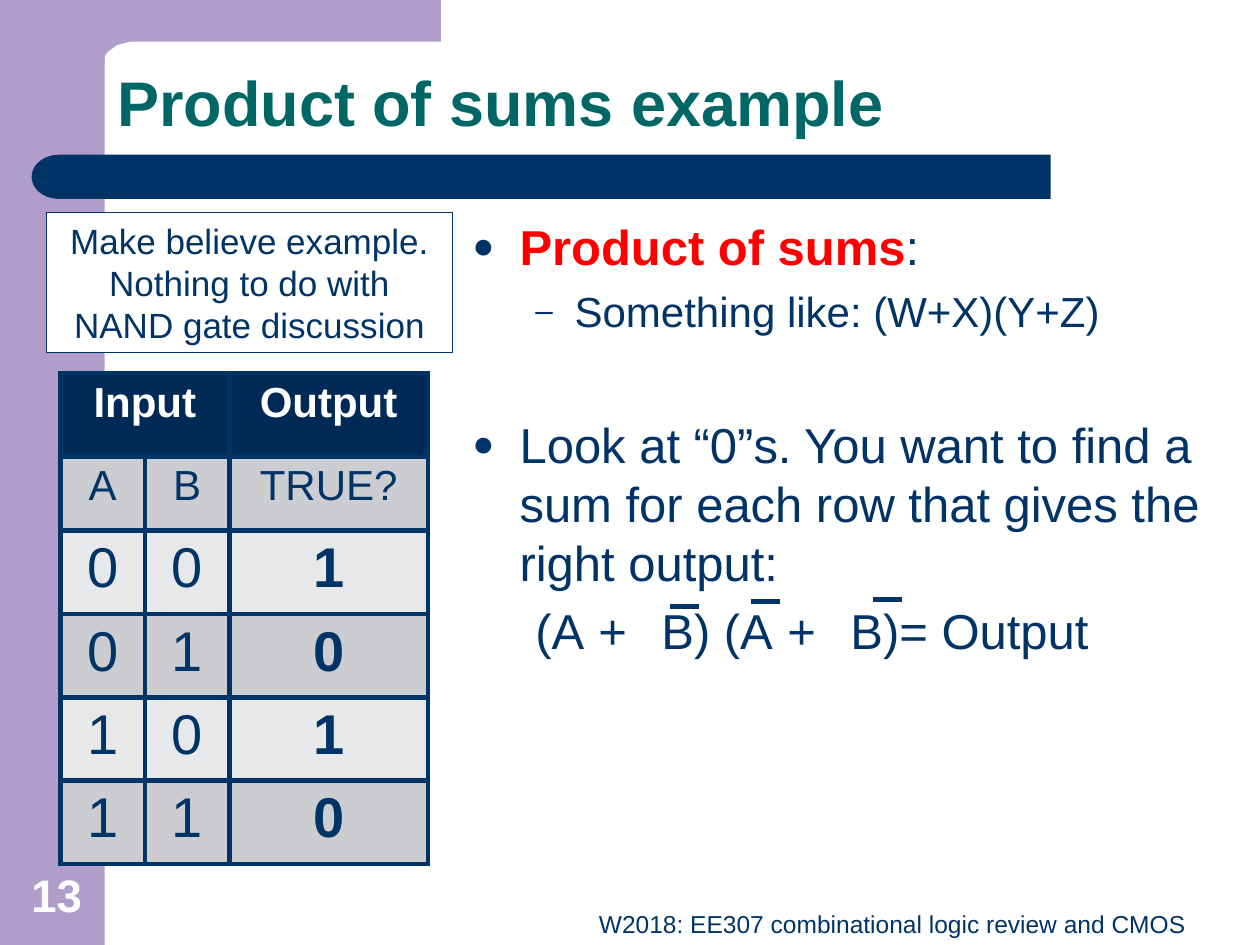
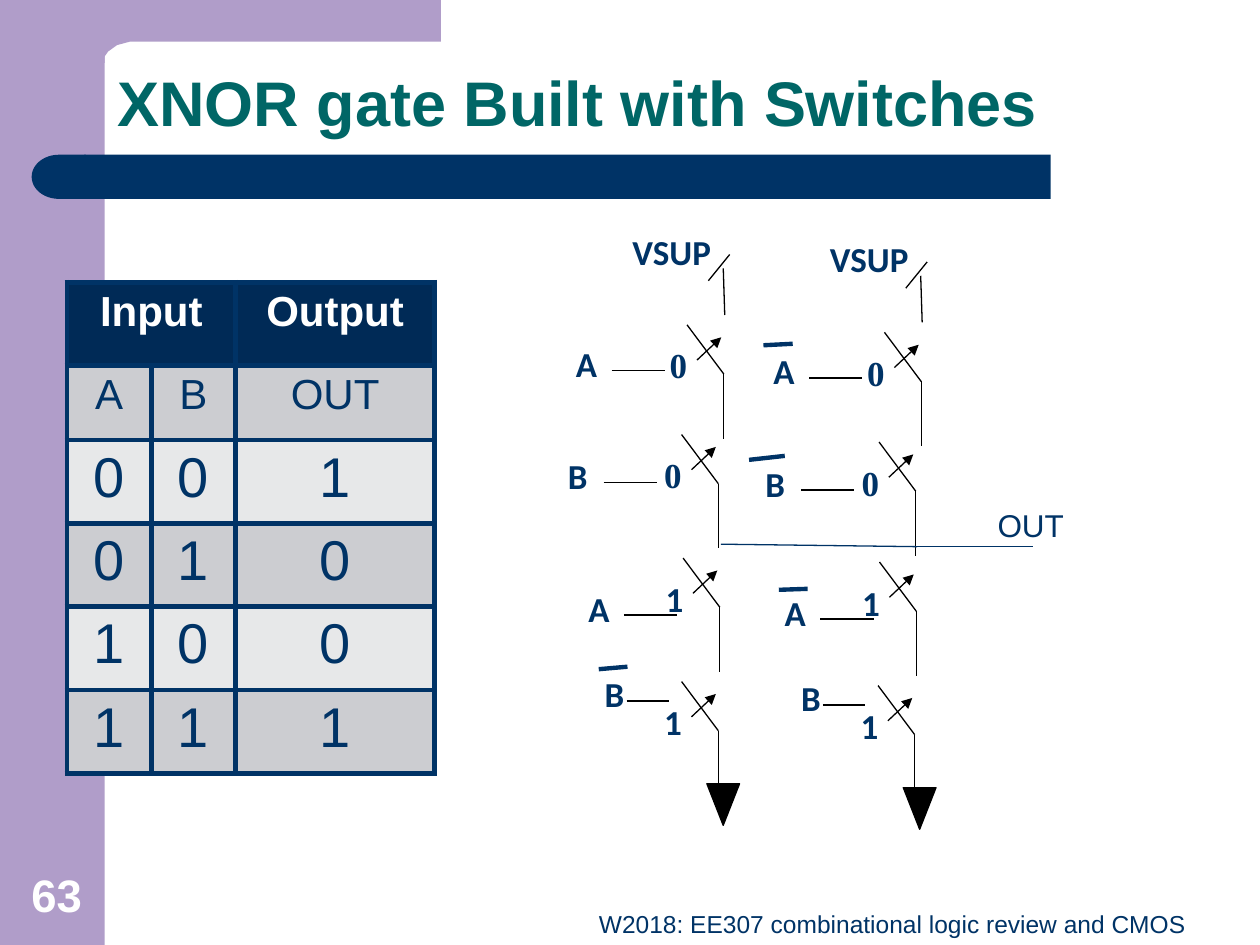
import dataclasses

import lxml.etree
import pptx
import pptx.dml.color
import pptx.enum.shapes
import pptx.enum.text
import pptx.oxml.ns
import pptx.util

Cm = pptx.util.Cm
Pt = pptx.util.Pt
SHAPE = pptx.enum.shapes.MSO_SHAPE
ALIGN = pptx.enum.text.PP_ALIGN
ANCHOR = pptx.enum.text.MSO_ANCHOR
qn = pptx.oxml.ns.qn


@dataclasses.dataclass(frozen=True)
class Theme:
    navy: str = "003366"
    header: str = "002A56"
    lilac: str = "B09DC9"
    teal: str = "006666"
    red: str = "FF0000"
    black: str = "000000"
    white: str = "FFFFFF"
    row_dark: str = "CCCDD1"
    row_light: str = "E7E8E9"
    font: str = "Arial"
    label_font: str = "Calibri"
    digit_font: str = "Times New Roman"
    title: int = 36
    value: int = 32
    body: int = 28
    number: int = 26
    sub: int = 24
    note: int = 20
    out: int = 18
    footer: int = 14


THEME = Theme()
FOOTER = "W2018: EE307 combinational logic review and CMOS"


def rgb(color):
    return pptx.dml.color.RGBColor.from_string(color)


def style(paragraph, size, color=THEME.navy, bold=False, font=THEME.font):
    for run in paragraph.runs:
        run.font.name = font
        run.font.size = Pt(size)
        run.font.bold = bold
        run.font.color.rgb = rgb(color)


def paint(shape, fill, line=None):
    shape.shadow.inherit = False
    shape.fill.solid()
    shape.fill.fore_color.rgb = rgb(fill)
    if line:
        shape.line.color.rgb = rgb(line)
        shape.line.width = Pt(0.75)
    else:
        shape.line.fill.background()
    return shape


def add_block(slide, kind, left, top, width, height, fill, line=None):
    block = slide.shapes.add_shape(kind, Cm(left), Cm(top), Cm(width), Cm(height))
    return paint(block, fill, line)


def add_label(slide, text, left, top, width, height, size, color=THEME.navy,
              bold=False, font=THEME.font, align=ALIGN.LEFT, anchor=ANCHOR.TOP):
    label = slide.shapes.add_textbox(Cm(left), Cm(top), Cm(width), Cm(height))
    frame = label.text_frame
    frame.word_wrap = True
    frame.vertical_anchor = anchor
    frame.text = text
    frame.paragraphs[0].alignment = align
    style(frame.paragraphs[0], size, color, bold, font)


def add_wire(slide, x1, y1, x2, y2, color=THEME.black, width=0.75, arrow=False):
    wire = slide.shapes.add_connector(
        pptx.enum.shapes.MSO_CONNECTOR.STRAIGHT, Cm(x1), Cm(y1), Cm(x2), Cm(y2))
    wire.line.color.rgb = rgb(color)
    wire.line.width = Pt(width)
    if arrow:
        lxml.etree.SubElement(wire.line._get_or_add_ln(), qn("a:tailEnd"), type="triangle")
    lxml.etree.SubElement(wire._element.spPr, qn("a:effectLst"))


def add_frame(slide, title, number):
    add_block(slide, SHAPE.RECTANGLE, 0, 0, 2.11, 19.05, THEME.lilac)
    corner = [(8.89, 0.84), (2.62, 0.84), (2.36, 0.91), (2.18, 1.04), (2.11, 1.14),
              (2.11, 1.27), (1.27, 1.27), (1.27, 0)]
    outline = slide.shapes.build_freeform(Cm(8.89), 0)
    outline.add_line_segments([(Cm(x), Cm(y)) for x, y in corner], close=True)
    paint(outline.convert_to_shape(), THEME.lilac)
    add_block(slide, SHAPE.RECTANGLE, 1.7, 3.12, 19.48, 0.89, THEME.navy)
    cap = add_block(slide, SHAPE.FLOWCHART_DELAY, 0.64, 3.12, 1.09, 0.89, THEME.navy)
    cap._element.spPr.find(qn("a:xfrm")).set("flipH", "1")

    heading = slide.shapes.title
    heading.left, heading.top, heading.width, heading.height = Cm(2.11), Cm(0.84), Cm(22.02), Cm(2.11)
    heading.text_frame.text = title
    heading.text_frame.auto_size = pptx.enum.text.MSO_AUTO_SIZE.NONE
    heading.text_frame.vertical_anchor = ANCHOR.BOTTOM
    line = heading.text_frame.paragraphs[0]
    line.alignment = ALIGN.LEFT
    line.line_spacing = 0.9
    style(line, THEME.title, THEME.teal, True)

    add_label(slide, FOOTER, 8.69, 18.21, 15.47, 1.32, THEME.footer, align=ALIGN.RIGHT)
    add_label(slide, number, 0, 17.35, 2.29, 1.35, THEME.number, THEME.white, True,
              align=ALIGN.CENTER, anchor=ANCHOR.BOTTOM)


def format_cell(cell, fill, size, color, bold):
    cell.fill.solid()
    cell.fill.fore_color.rgb = rgb(fill)
    paragraph = cell.text_frame.paragraphs[0]
    paragraph.alignment = ALIGN.CENTER
    style(paragraph, size, color, bold)
    properties = cell._tc.get_or_add_tcPr()
    for position, side in enumerate(("a:lnL", "a:lnR", "a:lnT", "a:lnB")):
        border = lxml.etree.Element(qn(side), w=str(Pt(3)))
        solid = lxml.etree.SubElement(border, qn("a:solidFill"))
        lxml.etree.SubElement(solid, qn("a:srgbClr"), val=THEME.navy)
        properties.insert(position, border)


def add_truth_table(slide, left, top, output_name, outputs, bold_outputs):
    inputs = [("0", "0"), ("0", "1"), ("1", "0"), ("1", "1")]
    rows = [("Input", "", "Output"), ("A", "B", output_name)]
    rows += [(a, b, output) for (a, b), output in zip(inputs, outputs)]
    widths = [1.7, 1.7, 4.01]
    heights = [1.68, 1.5] + [1.68] * 4
    table = slide.shapes.add_table(len(rows), 3, Cm(left), Cm(top),
                                   Cm(sum(widths)), Cm(sum(heights))).table
    table.first_row = table.horz_banding = False
    for column, width in zip(table.columns, widths):
        column.width = Cm(width)
    for r, (values, height) in enumerate(zip(rows, heights)):
        table.rows[r].height = Cm(height)
        for c, value in enumerate(values):
            cell = table.cell(r, c)
            cell.text = value
            if r == 0:
                format_cell(cell, THEME.header, THEME.sub, THEME.white, True)
            else:
                format_cell(cell, THEME.row_dark if r % 2 else THEME.row_light,
                            THEME.sub if r == 1 else THEME.value, THEME.navy,
                            bold_outputs and c == 2 and r > 1)
    table.cell(0, 0).merge(table.cell(0, 1))


def set_indent(paragraph, margin, hanging, bullet=None, tabs=()):
    properties = paragraph._p.get_or_add_pPr()
    properties.set("marL", str(Cm(margin)))
    properties.set("indent", str(-Cm(hanging)))
    if bullet:
        color = lxml.etree.SubElement(properties, qn("a:buClr"))
        lxml.etree.SubElement(color, qn("a:srgbClr"), val=THEME.navy)
        lxml.etree.SubElement(properties, qn("a:buSzPct"), val="75000")
        lxml.etree.SubElement(properties, qn("a:buFont"), typeface=THEME.font)
        lxml.etree.SubElement(properties, qn("a:buChar"), char=bullet)
    else:
        lxml.etree.SubElement(properties, qn("a:buNone"))
    if tabs:
        stops = lxml.etree.SubElement(properties, qn("a:tabLst"))
        for stop in tabs:
            lxml.etree.SubElement(stops, qn("a:tab"), pos=str(Cm(stop)), algn="l")


def add_explanation(slide, left, top, width, height):
    body = slide.placeholders[1]
    body.left, body.top, body.width, body.height = Cm(left), Cm(top), Cm(width), Cm(height)
    frame = body.text_frame
    frame.auto_size = pptx.enum.text.MSO_AUTO_SIZE.NONE
    frame.text = "\n".join([
        "Product of sums",
        "Something like: (W+X)(Y+Z)",
        "Look at “0”s. You want to find a sum for each row that gives the right output:",
        "\t(A\t+\tB) (A\t+\tB)= Output"])
    term, form, advice, formula = frame.paragraphs
    term.add_run().text = ":"
    form.level = 1
    for paragraph, size, gap in ((term, THEME.body, 5.6), (form, THEME.sub, 5.6),
                                 (advice, THEME.body, 45), (formula, THEME.body, 5.6)):
        style(paragraph, size)
        paragraph.space_before = Pt(gap)
    term.runs[0].font.bold = True
    term.runs[0].font.color.rgb = rgb(THEME.red)
    set_indent(term, 0.95, 0.95, "●")
    set_indent(form, 2.06, 0.79, "–")
    set_indent(advice, 0.95, 0.95, "●")
    set_indent(formula, 0, 0, tabs=(0.77, 2.51, 3.89, 6.68, 7.78))


def add_note(slide, left, top, width, height):
    note = add_block(slide, SHAPE.RECTANGLE, left, top, width, height, THEME.white, THEME.navy)
    frame = note.text_frame
    frame.word_wrap = True
    frame.text = "Make believe example. Nothing to do with NAND gate discussion"
    frame.paragraphs[0].alignment = ALIGN.CENTER
    style(frame.paragraphs[0], THEME.note)


def add_switch(slide, left, top, name, state, name_at, name_width=1.27, lead=1.07, bar=None):
    add_wire(slide, left, top, left + 0.74, top + 0.99)
    add_wire(slide, left + 0.74, top + 0.99, left + 0.74, top + 2.29)
    add_wire(slide, left + 0.2, top + 0.71, left + 0.69, top + 0.25, arrow=True)
    add_label(slide, state, left - 0.6, top + 0.26, 1.12, 1.27, THEME.note, bold=True,
              font=THEME.digit_font if state == "0" else THEME.label_font)
    x, y = left + name_at[0], top + name_at[1]
    add_label(slide, name, x, y, name_width, 1.3, THEME.note, bold=True, font=THEME.label_font)
    lead_start = x + name_width - 0.3
    add_wire(slide, lead_start, y + 0.69, lead_start + lead, y + 0.69)
    if bar:
        x1, y1, x2, y2 = bar
        add_wire(slide, x + x1, y + y1, x + x2, y + y2, THEME.navy, 2.5)


def add_pull_up(slide, left, top, inverted):
    add_label(slide, "VSUP", left, top, 2.72, 1.52, THEME.note, bold=True, font=THEME.label_font)
    add_wire(slide, left + 2.21, top + 0.61, left + 1.78, top + 1.14)
    add_wire(slide, left + 2.08, top + 0.89, left + 2.11, top + 1.83)
    add_switch(slide, left + 1.35, top + 2.03, "A", "0", (-2.49, 0.23),
               bar=(0.05, 0.03, 0.64, 0) if inverted else None)
    add_switch(slide, left + 1.24, top + 4.24, "B", "0", (-2.54, 0.28),
               bar=(-0.08, 0.08, 0.64, 0) if inverted else None)


def add_pull_down(slide, left, top, a_inverted):
    add_switch(slide, left, top, "A", "1", (-2.16, 0.46),
               bar=(0.13, 0.1, 0.71, 0.08) if a_inverted else None)
    add_switch(slide, left - 0.03, top + 2.49, "B", "1", (-1.8, -0.3), 0.99, 0.85,
               bar=None if a_inverted else (0.13, 0.05, 0.71, 0))
    ground = add_block(slide, SHAPE.ISOSCELES_TRIANGLE, left + 0.48, top + 4.55, 0.66, 0.84,
                       THEME.black, THEME.black)
    ground._element.spPr.find(qn("a:xfrm")).set("flipV", "1")


def add_output(slide, left, top):
    add_wire(slide, left, top, left + 3.96, top + 0.05, THEME.navy)
    add_wire(slide, left + 3.89, top + 0.05, left + 6.3, top + 0.05, THEME.navy)
    add_label(slide, "OUT", left + 5.33, top - 0.89, 1.85, 1.02, THEME.out)


def build_sums_slide(deck):
    slide = deck.slides.add_slide(deck.slide_layouts[1])
    add_frame(slide, "Product of sums example", "13")
    add_explanation(slide, 9.27, 4.24, 16.13, 13.59)
    add_truth_table(slide, 1.22, 7.52, "TRUE?", "1010", True)
    add_note(slide, 0.94, 4.29, 8.18, 2.82)
    for x, y in ((13.51, 12.22), (15.14, 12.12), (17.6, 12.09)):
        add_wire(slide, x, y, x + 0.58, y, THEME.navy, 3)


def build_switches_slide(deck):
    slide = deck.slides.add_slide(deck.slide_layouts[5])
    add_frame(slide, "XNOR gate Built with Switches", "63")
    add_truth_table(slide, 1.35, 5.69, "OUT", "1001", False)
    add_pull_up(slide, 12.5, 4.52, False)
    add_pull_up(slide, 16.48, 4.67, True)
    add_pull_down(slide, 13.77, 11.25, False)
    add_pull_down(slide, 17.73, 11.33, True)
    add_output(slide, 14.53, 10.97)


def main():
    deck = pptx.Presentation()
    deck.slide_width, deck.slide_height = Cm(25.4), Cm(19.05)
    build_sums_slide(deck)
    build_switches_slide(deck)
    deck.save("out.pptx")


if __name__ == "__main__":
    main()
